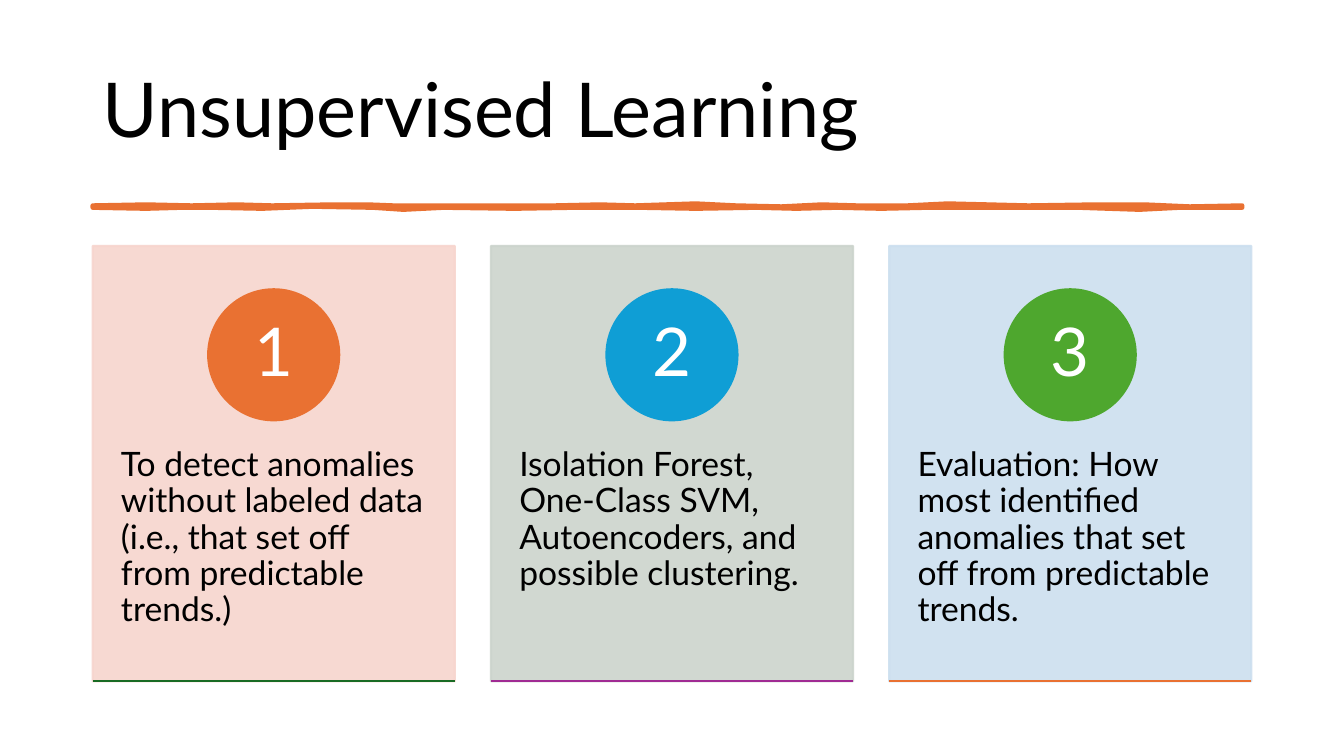
from pptx import Presentation
from pptx.dml.color import RGBColor
from pptx.enum import shapes, text
from pptx.oxml.ns import qn
from pptx.util import Inches, Pt
from lxml import etree

FONT = "Lato"
BLACK = RGBColor(0x00, 0x00, 0x00)
WHITE = RGBColor(0xFF, 0xFF, 0xFF)
ORANGE = RGBColor(0xE9, 0x71, 0x32)
BLUE = RGBColor(0x0F, 0x9E, 0xD5)
GREEN = RGBColor(0x4E, 0xA7, 0x2E)
DARK_GREEN = RGBColor(0x19, 0x6B, 0x24)
PURPLE = RGBColor(0xA0, 0x2B, 0x93)
PINK = RGBColor(0xF7, 0xD5, 0xCE)
SAGE = RGBColor(0xCC, 0xD4, 0xCD)
PALE_BLUE = RGBColor(0xCC, 0xDF, 0xEF)

LEFT, TOP = 0.92, 2.44
CARD_WIDTH, CARD_HEIGHT = 3.59, 4.32
CARD_STEP = 3.95
CIRCLE = 1.3

# Card colour, circle colour, base line colour, wording
CARDS = [
    (PINK, ORANGE, DARK_GREEN,
     "To detect anomalies without labeled data (i.e., that set off from predictable trends.)"),
    (SAGE, BLUE, PURPLE,
     "Isolation Forest, One-Class SVM, Autoencoders, and possible clustering."),
    (PALE_BLUE, GREEN, ORANGE,
     "Evaluation: How most identified anomalies that set off from predictable trends."),
]

# Upper and lower edges of the hand-drawn rule, left to right
RULE_TOP = [(0.92, 2.04), (1.45, 2.03), (1.9, 2.04), (2.35, 2.03), (2.7, 2.04),
            (3.3, 2.03), (3.65, 2.03), (3.9, 2.04), (4.6, 2.04), (5.5, 2.04),
            (5.95, 2.03), (6.3, 2.04), (6.9, 2.02), (7.3, 2.04), (7.75, 2.05),
            (8.15, 2.03), (8.5, 2.04), (9.0, 2.04), (9.4, 2.02), (10.2, 2.04),
            (10.87, 2.03), (11.35, 2.03), (11.8, 2.05), (12.32, 2.04)]
RULE_BOTTOM = [(0.92, 2.06), (1.45, 2.07), (1.8, 2.06), (2.1, 2.06), (2.6, 2.07),
               (3.1, 2.05), (3.7, 2.06), (4.0, 2.08), (4.4, 2.06), (5.1, 2.07),
               (5.7, 2.06), (6.35, 2.06), (6.9, 2.07), (7.5, 2.06), (7.9, 2.07),
               (8.3, 2.06), (8.74, 2.07), (9.2, 2.06), (9.8, 2.06), (10.3, 2.06),
               (10.7, 2.06), (11.3, 2.08), (11.7, 2.06), (12.32, 2.06)]


def paint(shape, color, width=1.5):
    shape.shadow.inherit = False
    shape.fill.solid()
    shape.fill.fore_color.rgb = color
    shape.line.color.rgb = color
    shape.line.width = Pt(width)


def soften(shape, percent):
    """Set the opacity of the fill and the line."""
    for color in shape._element.spPr.iter(qn("a:srgbClr")):
        etree.SubElement(color, qn("a:alpha"), val=str(percent * 1000))


def write(shape, wording, size, color, align, anchor, insets):
    frame = shape.text_frame
    frame.word_wrap = True
    frame.auto_size = text.MSO_AUTO_SIZE.NONE
    frame.vertical_anchor = anchor
    frame.margin_left = frame.margin_right = Inches(insets[0])
    frame.margin_top = frame.margin_bottom = Inches(insets[1])
    para = frame.paragraphs[0]
    para.alignment = align
    para.line_spacing = 0.9
    span = para.add_run()
    span.text = wording
    span.font.name = FONT
    span.font.size = Pt(size)
    span.font.color.rgb = color


def add_title(page):
    title = page.shapes.title
    title.left, title.top = Inches(LEFT), Inches(0.4)
    title.width, title.height = Inches(11.5), Inches(1.45)
    write(title, "Unsupervised Learning", 54, BLACK,
          text.PP_ALIGN.LEFT, text.MSO_ANCHOR.MIDDLE, (0.1, 0.05))


def add_rule(page):
    outline = [(Inches(x), Inches(y)) for x, y in RULE_TOP + RULE_BOTTOM[::-1]]
    builder = page.shapes.build_freeform(*outline[0])
    builder.add_line_segments(outline[1:], close=True)
    paint(builder.convert_to_shape(), ORANGE, 3.25)


def add_base_line(page, left, color):
    y = Inches(TOP + CARD_HEIGHT)
    line = page.shapes.add_connector(
        shapes.MSO_CONNECTOR.STRAIGHT, Inches(left), y, Inches(left + CARD_WIDTH), y)
    line.line.color.rgb = color
    line.line.width = Pt(1.5)
    etree.SubElement(line._element.spPr, qn("a:effectLst"))


def add_card(page, number, card_color, circle_color, base_color, wording):
    left = LEFT + (number - 1) * CARD_STEP
    card = page.shapes.add_shape(
        shapes.MSO_SHAPE.RECTANGLE, Inches(left), Inches(TOP),
        Inches(CARD_WIDTH), Inches(CARD_HEIGHT))
    paint(card, card_color)
    soften(card, 90)

    box = page.shapes.add_textbox(
        Inches(left), Inches(4.08), Inches(CARD_WIDTH), Inches(2.59))
    write(box, wording, 24, BLACK,
          text.PP_ALIGN.LEFT, text.MSO_ANCHOR.TOP, (0.28, 0.36))

    circle = page.shapes.add_shape(
        shapes.MSO_SHAPE.OVAL, Inches(left + (CARD_WIDTH - CIRCLE) / 2), Inches(2.87),
        Inches(CIRCLE), Inches(CIRCLE))
    paint(circle, circle_color)
    write(circle, str(number), 48, WHITE,
          text.PP_ALIGN.CENTER, text.MSO_ANCHOR.MIDDLE, (0.1, 0.01))

    add_base_line(page, left, base_color)


def main():
    deck = Presentation()
    deck.slide_width, deck.slide_height = Inches(13.33), Inches(7.5)
    page = deck.slides.add_slide(deck.slide_layouts[5])
    add_title(page)
    add_rule(page)
    for number, card in enumerate(CARDS, start=1):
        add_card(page, number, *card)
    deck.save("out.pptx")


if __name__ == "__main__":
    main()
